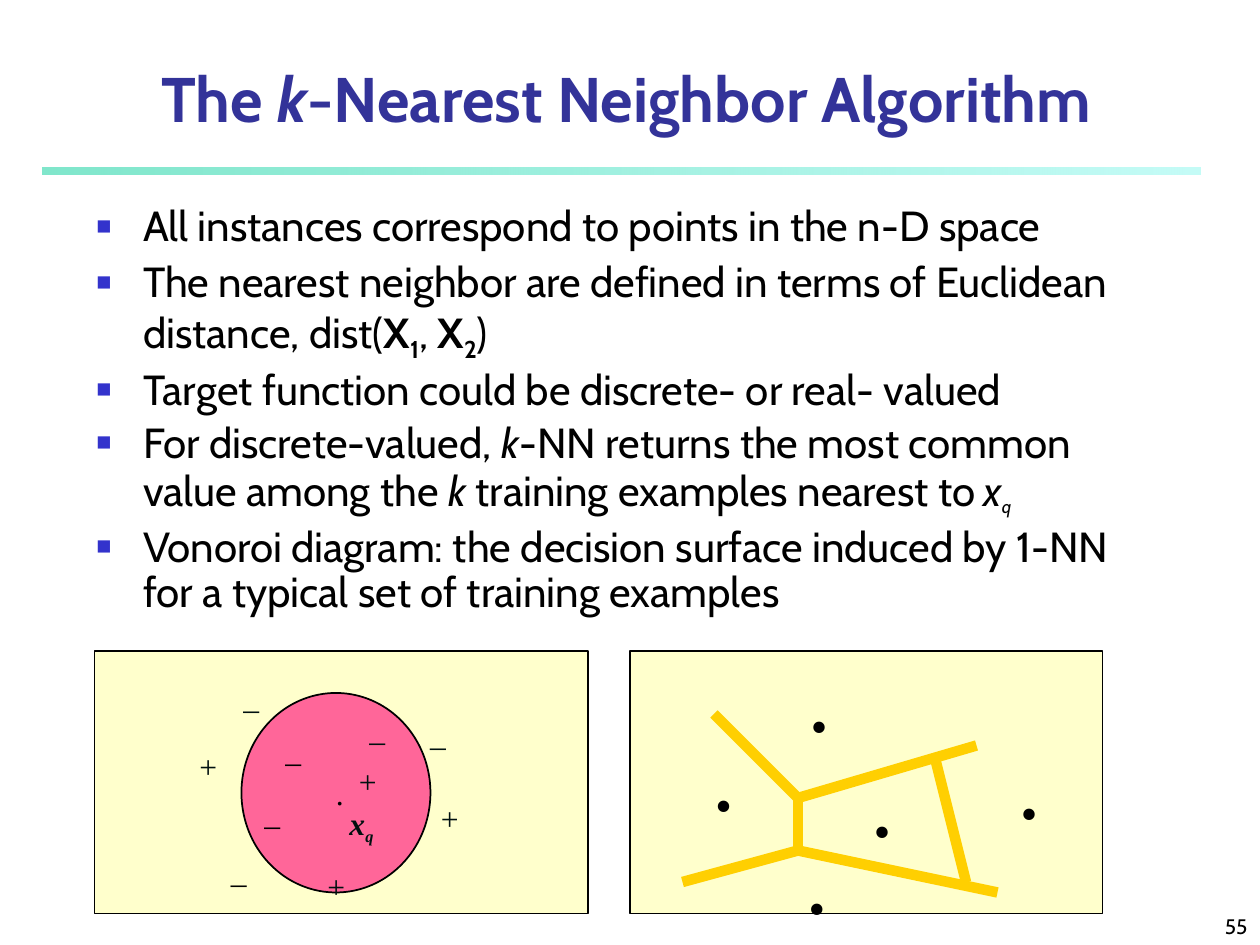
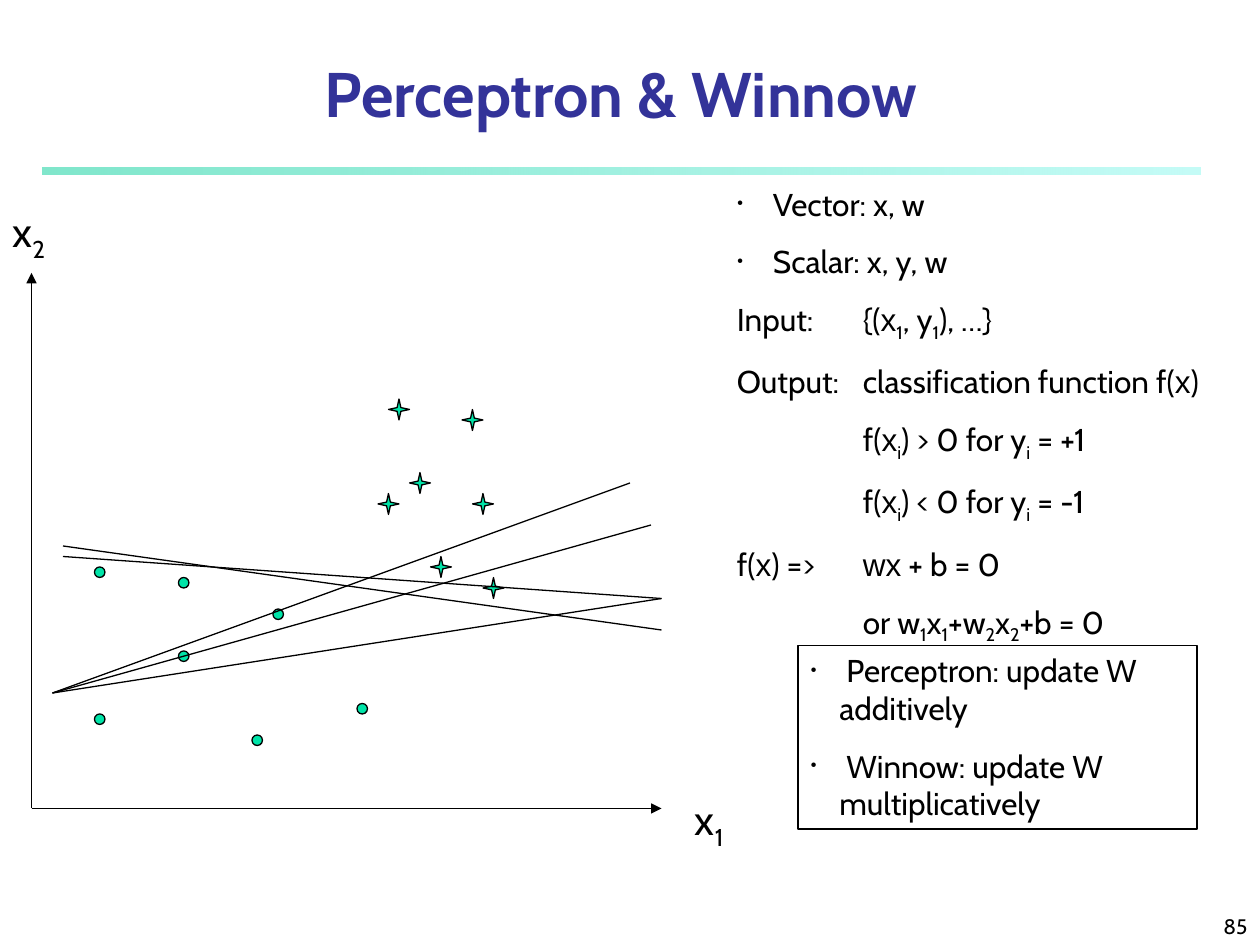
from lxml import etree
from pptx import Presentation
from pptx.dml.color import RGBColor
from pptx.enum.shapes import MSO_CONNECTOR, MSO_SHAPE
from pptx.enum.text import MSO_ANCHOR, MSO_AUTO_SIZE, PP_ALIGN
from pptx.oxml.ns import qn
from pptx.util import Emu, Inches, Pt

RECT, OVAL = MSO_SHAPE.RECTANGLE, MSO_SHAPE.OVAL
STRAIGHT = MSO_CONNECTOR.STRAIGHT
TOP, MIDDLE, BOTTOM = MSO_ANCHOR.TOP, MSO_ANCHOR.MIDDLE, MSO_ANCHOR.BOTTOM
LEFT, CENTER, RIGHT = PP_ALIGN.LEFT, PP_ALIGN.CENTER, PP_ALIGN.RIGHT
GROW = MSO_AUTO_SIZE.SHAPE_TO_FIT_TEXT

BLACK = RGBColor(0x00, 0x00, 0x00)
INK = RGBColor(0x00, 0x10, 0x10)
NAVY = RGBColor(0x33, 0x33, 0x99)
BULLET_BLUE = RGBColor(0x33, 0x33, 0xCC)
CREAM = RGBColor(0xFF, 0xFF, 0xCC)
PINK = RGBColor(0xFF, 0x66, 0x99)
GOLD = RGBColor(0xFF, 0xCF, 0x01)
MINT = RGBColor(0x00, 0xE4, 0xA8)
BAND_STOPS = [(RGBColor(0x00, 0xCE, 0x98), 50), (RGBColor(0x8F, 0xF9, 0xEF), 52)]

# All places are (left, top, width, height) in cells of a grid, 12 to the inch.
CELL = Inches(1) // 12
COLUMNS, ROWS = 120, 90
BAND = (4, 16, 110.3, 0.6)
NUMBER_PLACE = (95, 85, 25, 5)

# Run formats
BOLD, ITALIC, SUB = {"bold": True}, {"italic": True}, {"baseline": -25}
BOLD_SUB = BOLD | SUB
ARIAL = {"name": "Arial"}
TITLE = {"name": "Cabin", "size": 36, "color": NAVY, "bold": True}
BODY = {"name": "Cabin", "size": 24, "color": BLACK}
NOTE = BODY | {"size": 18}
NUMBER = BODY | {"size": 12}
MARK = {"name": "Times New Roman", "size": 18, "color": INK}
DOT = MARK | {"size": 40, "color": BLACK, "bold": True}

# Bullets: character, colour, hanging indent in inches
SQUARE = ("■", BULLET_BLUE, 0.37)
ROUND = ("•", BLACK, 0.23)
NOTE_GAP = 11.25

# Paragraphs are lists of runs; a run is a text or (text, format).
NEIGHBOR_TITLE = ["The ", ("k", ITALIC), "-Nearest Neighbor Algorithm"]
NEIGHBOR_POINTS = [
    ["All instances correspond to points in the n-D space"],
    ["The nearest neighbor are defined in terms of Euclidean distance, dist(",
     ("X", BOLD), ("1", BOLD_SUB), ", ", ("X", BOLD), ("2", BOLD_SUB), ")"],
    ["Target function could be discrete- or real- valued"],
    ["For discrete-valued, ", ("k", ITALIC), "-NN returns the most common value among the ",
     ("k", ITALIC), " training examples nearest to", (" ", {"size": 20}),
     ("x", ITALIC), ("q", ITALIC | SUB | {"size": 18})],
    ["Vonoroi diagram: the decision surface induced by 1-NN for a typical set of "
     "training examples"],
]
NEIGHBOR_GAPS = [0, 6, 6, 4.5, 6]
PANELS = [(9, 62, 47, 25), (60, 62, 45, 25)]
NEIGHBORHOOD = (23, 66, 18, 19)
QUERY = [("x", BOLD | ITALIC), ("q", BOLD_SUB | ITALIC | {"size": 16})]
QUERY_PLACE = (32.1, 76, 4.7, 5.2)
EXAMPLES = [
    ("_", BLACK, 3.8, [(26, 69), (24, 75), (20.8, 80.6)]),
    ("_", INK, 3.8, [(34, 67), (39.8, 67.5), (22, 64)]),
    ("+", INK, 4.1, [(33, 72), (30, 82), (17.8, 70.6), (40.8, 75.5)]),
]
VORONOI_SITES = [(76, 62.5), (82, 72.5), (75.8, 79.8), (66.9, 70), (96, 70.8)]
VORONOI_EDGES = [
    ((68, 68), (76, 76)), ((76, 76), (93, 71)), ((76, 76), (76, 81)),
    ((76, 81), (95, 85)), ((76, 81), (65, 84)), ((89, 72), (92, 84)),
]

PERCEPTRON_TITLE = ["Perceptron & Winnow"]
SYMBOLS = [[" Vector: x, w"], [" Scalar: x, y, w"]]
X = ("x", ARIAL)
DEFINITIONS = [
    ["Input:\t{(", X, ("1", SUB), ", y", ("1", SUB), "), …}"],
    ["Output:\tclassification function f(", X, ")"],
    *[["\tf(", X, ("i", SUB), f") {sign} 0 for y", ("i", SUB), f" = {label}"]
      for sign, label in ((">", "+1"), ("<", "-1"))],
    ["f(", X, ") =>\t", ("wx", ARIAL), " + b = 0"],
    ["\tor w", ("1", SUB), "x", ("1", SUB), "+w", ("2", SUB), "x", ("2", SUB), "+b = 0"],
]
UPDATES = [[" Perceptron: update W additively"], [" Winnow: update W multiplicatively"]]
ORIGIN, AXIS_ENDS = (3, 77), [(63, 77), (3, 26)]
AXIS_LABELS = [("1", (65, 75, 10, 6.7)), ("2", (0, 19, 10, 6.7))]
CIRCLES = [(9, 54), (9, 68), (17, 55), (24, 70), (17, 62), (26, 58), (34, 67)]
STARS = [(39, 45), (45, 47), (41, 53), (37, 38), (36, 47), (46, 55), (44, 39)]
STAR_OUTLINE = [(0, 1), (0.82, 0.82), (1, 0), (1.18, 0.82), (2, 1),
                (1.18, 1.18), (1, 2), (0.82, 1.18)]
STAR_STEPS = 100  # drawing units in a cell
SEPARATORS = [
    ((60, 46), (5, 66)), ((5, 66), (62, 50)), ((5, 66), (63, 57)),
    ((63, 57), (6, 53)), ((6, 52), (63, 60)),
]


def cells(*values):
    return [Emu(round(value * CELL)) for value in values]


def format_span(span, style):
    for key, value in style.items():
        if key == "color":
            span.font.color.rgb = value
        elif key == "baseline":
            span._r.get_or_add_rPr().set("baseline", str(value * 1000))
        else:
            setattr(span.font, key, Pt(value) if key == "size" else value)


def add_bullet(para, bullet):
    char, color, hang = bullet
    props = para._p.get_or_add_pPr()
    props.set("marL", str(Inches(hang)))
    props.set("indent", str(-Inches(hang)))
    holder = etree.SubElement(props, qn("a:buClr"))
    etree.SubElement(holder, qn("a:srgbClr"), val=str(color))
    etree.SubElement(props, qn("a:buSzPct"), val="60000")
    etree.SubElement(props, qn("a:buFont"), typeface=MARK["name"])
    etree.SubElement(props, qn("a:buChar"), char=char)


def add_tab_stop(para):
    stops = etree.SubElement(para._p.get_or_add_pPr(), qn("a:tabLst"))
    etree.SubElement(stops, qn("a:tab"), pos=str(Inches(1)), algn="l")


def write(shape, paragraphs, style, gaps=None, bullets=None, align=LEFT, line=None, **frame):
    """Fill a shape with paragraphs; frame holds text frame settings."""
    text = shape.text_frame
    for key, value in ({"word_wrap": True, "vertical_anchor": TOP} | frame).items():
        setattr(text, key, value)
    for index, runs in enumerate(paragraphs):
        para = text.paragraphs[0] if index == 0 else text.add_paragraph()
        if bullets and bullets[index]:
            add_bullet(para, bullets[index])
        elif bullets:
            add_tab_stop(para)
        para.alignment = align
        if gaps:
            para.space_before = Pt(gaps[index])
        if line:
            para.line_spacing = line
        for run in runs:
            words, extra = (run, {}) if isinstance(run, str) else run
            span = para.add_run()
            span.text = words
            format_span(span, style | extra)


def add_text(page, place, paragraphs, style, **options):
    write(page.shapes.add_textbox(*cells(*place)), paragraphs, style, **options)


def paint(shape, fill=None, width=0.75):
    shape.shadow.inherit = False
    if fill is None:
        shape.fill.background()
    else:
        shape.fill.solid()
        shape.fill.fore_color.rgb = fill
    shape.line.color.rgb = BLACK
    shape.line.width = Pt(width)
    return shape


def add_shape(page, kind, place, fill=None, width=0.75):
    return paint(page.shapes.add_shape(kind, *cells(*place)), fill, width)


def add_line(page, start, end, color=BLACK, width=0.75, arrow=False):
    line = page.shapes.add_connector(STRAIGHT, *cells(*start, *end))
    line.line.color.rgb = color
    line.line.width = Pt(width)
    if arrow:
        etree.SubElement(line.line._get_or_add_ln(), qn("a:tailEnd"), type="triangle")
    etree.SubElement(line._element.spPr, qn("a:effectLst"))


def add_star(page, left, top):
    points = [(round((left + x) * STAR_STEPS), round((top + y) * STAR_STEPS))
              for x, y in STAR_OUTLINE]
    builder = page.shapes.build_freeform(*points[0], scale=CELL / STAR_STEPS)
    builder.add_line_segments(points[1:], close=True)
    paint(builder.convert_to_shape(), MINT)


def add_page(deck, title, place, anchor, number):
    """Add a slide with the band, page number and title that all slides share."""
    page = deck.slides.add_slide(deck.slide_layouts[6])
    band = page.shapes.add_shape(RECT, *cells(*BAND))
    band.shadow.inherit = False
    band.line.fill.background()
    band.fill.gradient()
    band.fill.gradient_angle = 0
    for stop, (color, _) in zip(band.fill.gradient_stops, BAND_STOPS):
        stop.color.rgb = color
    for tint, (_, opacity) in zip(band._element.spPr.iter(qn("a:srgbClr")), BAND_STOPS):
        etree.SubElement(tint, qn("a:alpha"), val=str(opacity * 1000))
    add_text(page, NUMBER_PLACE, [[str(number)]], NUMBER, align=RIGHT, vertical_anchor=BOTTOM)
    add_text(page, place, [title], TITLE, align=CENTER, vertical_anchor=anchor)
    return page


def build_neighbor_page(deck):
    page = add_page(deck, NEIGHBOR_TITLE, (6, 6.6, 107.3, 5.3), MIDDLE, 55)
    add_text(page, (8, 19, 104, 67), NEIGHBOR_POINTS, BODY, gaps=NEIGHBOR_GAPS,
             bullets=[SQUARE] * len(NEIGHBOR_POINTS), line=0.9)
    for place in PANELS:
        add_shape(page, RECT, place, CREAM, 1)
    circle = add_shape(page, OVAL, NEIGHBORHOOD, PINK, 1)
    write(circle, [[" ."]], MARK | {"color": BLACK}, align=CENTER,
          vertical_anchor=MIDDLE, word_wrap=False)
    label = {"word_wrap": False, "auto_size": GROW}
    for sign, color, width, spots in EXAMPLES:
        for spot in spots:
            add_text(page, (*spot, width, 4.8), [[sign]], MARK | {"color": color}, **label)
    add_text(page, QUERY_PLACE, [QUERY], MARK, **label)
    for start, end in VORONOI_EDGES:
        add_line(page, start, end, GOLD, 6)
    for spot in VORONOI_SITES:
        add_text(page, (*spot, 4.1, 9.2), [["."]], DOT, **label)


def build_perceptron_page(deck):
    page = add_page(deck, PERCEPTRON_TITLE, (4, 5, 110.3, 8), BOTTOM, 85)
    notes = SYMBOLS + DEFINITIONS
    add_text(page, (69, 17, 51, 50.6), notes, NOTE, gaps=[0] + [NOTE_GAP] * (len(notes) - 1),
             bullets=[ROUND] * len(SYMBOLS) + [None] * len(DEFINITIONS), auto_size=GROW)
    for end in AXIS_ENDS:
        add_line(page, ORIGIN, end, arrow=True)
    for index, place in AXIS_LABELS:
        add_text(page, place, [["x", (index, SUB)]], BODY, auto_size=GROW)
    for spot in CIRCLES:
        add_shape(page, OVAL, (*spot, 1, 1), MINT)
    for spot in STARS:
        add_star(page, *spot)
    for start, end in SEPARATORS:
        add_line(page, start, end)
    box = add_shape(page, RECT, (76, 61.45, 38, 17.5))
    write(box, UPDATES, NOTE, gaps=[0, NOTE_GAP], bullets=[ROUND] * 2, auto_size=GROW)


def main():
    deck = Presentation()
    deck.slide_width, deck.slide_height = cells(COLUMNS, ROWS)
    build_neighbor_page(deck)
    build_perceptron_page(deck)
    deck.save("out.pptx")


if __name__ == "__main__":
    main()
